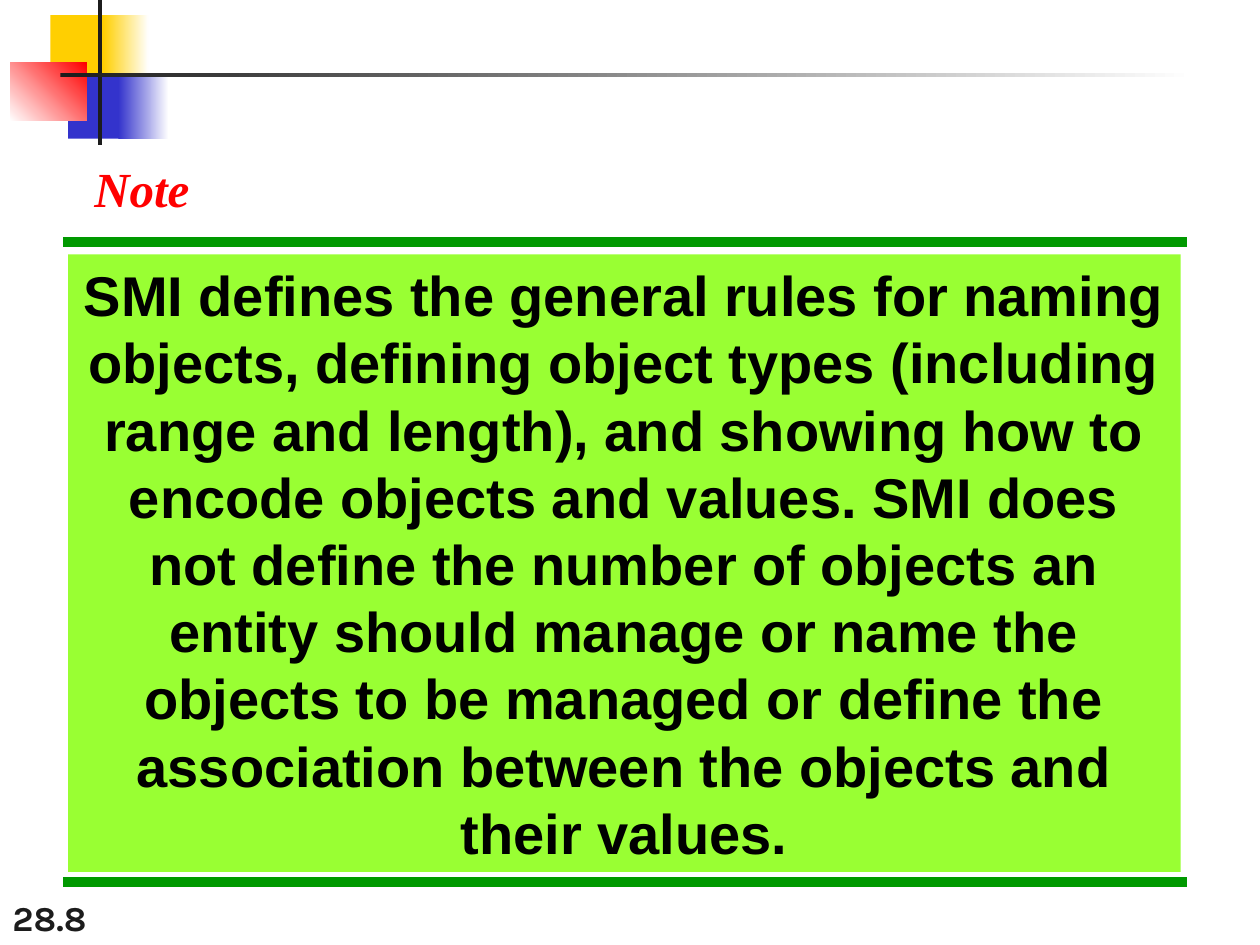
from dataclasses import dataclass

from pptx import Presentation
from pptx.dml.color import RGBColor
from pptx.enum import shapes, text
from pptx.oxml import xmlchemy
from pptx.util import Inches, Pt


@dataclass(frozen=True)
class Theme:
    white: str = "FFFFFF"
    ink: str = "1C1C1C"
    black: str = "000000"
    yellow: str = "FFCF01"
    blue: str = "3333CC"
    red: str = "FF0000"
    rule: str = "009900"
    panel: str = "99FF33"
    number_size: int = 20
    label_size: int = 28
    body_size: int = 32
    rule_width: int = 6


THEME = Theme()
MESSAGE = (
    "SMI defines the general rules for naming objects, defining object types (including",
    "range and length), and showing how to encode objects and values. SMI does not "
    "define the number of objects an entity should manage or name the objects to be "
    "managed or define the association between the objects and their values.",
)


def add_block(slide, place, color, fade_to=None, angle=0):
    """Add a borderless rectangle, solid or fading from color to fade_to."""
    block = slide.shapes.add_shape(
        shapes.MSO_SHAPE.RECTANGLE, *(Inches(value) for value in place))
    block.shadow.inherit = False
    block.line.fill.background()
    if fade_to is None:
        block.fill.solid()
        block.fill.fore_color.rgb = RGBColor.from_string(color)
    else:
        block.fill.gradient()
        block.fill.gradient_angle = angle
        for stop, shade, position in zip(
                block.fill.gradient_stops, (color, fade_to), (0, 1)):
            stop.color.rgb = RGBColor.from_string(shade)
            stop.position = position
    return block


def add_rule(slide, y):
    rule = slide.shapes.add_connector(
        shapes.MSO_CONNECTOR.STRAIGHT, Inches(0.5), Inches(y), Inches(9.42), Inches(y))
    rule.line.color.rgb = RGBColor.from_string(THEME.rule)
    rule.line.width = Pt(THEME.rule_width)
    rule._element.spPr.append(xmlchemy.OxmlElement("a:effectLst"))


def write(box, paragraphs, font, size, color, italic=False, align=text.PP_ALIGN.LEFT):
    frame = box.text_frame
    frame.text = "\n".join(paragraphs)
    for para in frame.paragraphs:
        para.alignment = align
        for span in para.runs:
            span.font.name = font
            span.font.size = Pt(size)
            span.font.bold = True
            span.font.italic = italic
            span.font.color.rgb = RGBColor.from_string(color)


def add_label(slide, place, words, *style, anchor=text.MSO_ANCHOR.TOP, wrap=True, italic=False):
    box = slide.shapes.add_textbox(*(Inches(value) for value in place))
    box.text_frame.word_wrap = wrap
    box.text_frame.vertical_anchor = anchor
    write(box, [words], *style, italic=italic)


def add_ornament(slide):
    """Draw the coloured squares with the crossing bars."""
    add_block(slide, (0.4, 0.12, 0.48, 0.52), THEME.yellow)
    add_block(slide, (0.82, 0.12, 0.36, 0.52), THEME.yellow, THEME.white)
    add_block(slide, (0.54, 0.58, 0.46, 0.52), THEME.blue)
    add_block(slide, (0.94, 0.58, 0.4, 0.52), THEME.blue, THEME.white)
    add_block(slide, (0.08, 0.5, 0.61, 0.46), THEME.white, THEME.red, angle=45)
    add_block(slide, (0.78, 0, 0.03, 1.15), THEME.ink)
    add_block(slide, (0.48, 0.58, 9, 0.03), THEME.ink, THEME.white)


def add_message(slide):
    panel = add_block(slide, (0.54, 2.02, 8.83, 4.9), THEME.panel)
    panel.text_frame.word_wrap = True
    panel.text_frame.vertical_anchor = text.MSO_ANCHOR.TOP
    write(panel, MESSAGE, "Arial", THEME.body_size, THEME.black,
          align=text.PP_ALIGN.CENTER)


def main():
    deck = Presentation()
    deck.slide_width, deck.slide_height = Inches(10), Inches(7.5)
    slide = deck.slides.add_slide(deck.slide_layouts[6])
    add_label(slide, (0, 7, 2.08, 0.5), "28.8", "Karla", THEME.number_size, THEME.ink,
              anchor=text.MSO_ANCHOR.BOTTOM)
    add_ornament(slide)
    for y in (1.92, 7):
        add_rule(slide, y)
    add_message(slide)
    add_label(slide, (0.65, 1.21, 0.96, 0.57), "Note", "Times New Roman",
              THEME.label_size, THEME.red, wrap=False, italic=True)
    deck.save("out.pptx")


if __name__ == "__main__":
    main()
